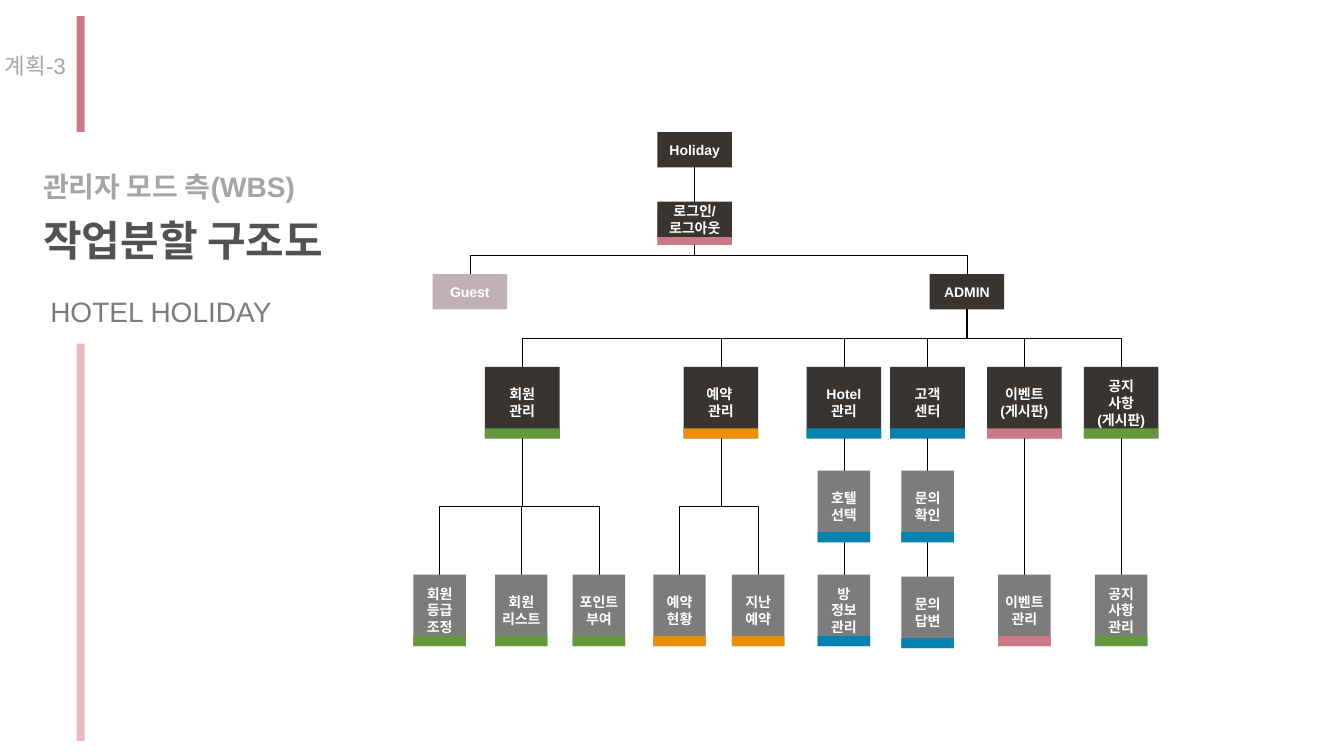
from pptx import Presentation
from pptx.dml.color import RGBColor
from pptx.enum.shapes import MSO_CONNECTOR as LINK, MSO_SHAPE as FORM
from pptx.enum.text import MSO_ANCHOR as ANCHOR, MSO_AUTO_SIZE as FIT, PP_ALIGN as ALIGN
from pptx.oxml import parse_xml
from pptx.oxml.ns import nsdecls
from pptx.util import Pt

PX = 9144
BOTTOM, TOP = 2, 0
DARK, GRAY, MUTED = "383431", "7C7C7C", "C0B0B8"
ROSE, PALE_ROSE = "CA7A85", "E9B8BC"
GREEN, ORANGE, BLUE = "62983E", "ED8F05", "0483B0"
WIDE, NARROW = 74, 52
SHORT, TALL, STRIP = 35, 71, 10
BRANCH_TOP, STEP_TOP, LEAF_TOP = 364, 467, 570

BRANCHES = [
    (518, ["회원", "관리"], GREEN, [
        [(436, LEAF_TOP, ["회원", "등급", "조정"])],
        [(517, LEAF_TOP, ["회원", "리스트"])],
        [(594, LEAF_TOP, ["포인트", "부여"])]]),
    (715, ["예약 ", "관리"], ORANGE, [
        [(674, LEAF_TOP, ["예약", "현황"])],
        [(752, LEAF_TOP, ["지난", "예약"])]]),
    (837, ["Hotel", "관리"], BLUE, [
        [(837, STEP_TOP, ["호텔", "선택"]),
         (837, LEAF_TOP, ["방", "정보", "관리"])]]),
    (920, ["고객", "센터"], BLUE, [
        [(920, STEP_TOP, ["문의", "확인"]),
         (920, LEAF_TOP + 2, ["문의", "답변"])]]),
    (1016, ["이벤트", "(게시판)"], ROSE, [
        [(1016, LEAF_TOP, ["이벤트", "관리"])]]),
    (1112, ["공지", "사항", "(게시판)"], GREEN, [
        [(1112, LEAF_TOP, ["공지", "사항", "관리"])]]),
]


def color(hex_code):
    return RGBColor.from_string(hex_code)


def write(paragraph, text, size, hex_code, bold):
    run = paragraph.add_run()
    run.text = text
    run.font.name = "Arial"
    run.font.size = Pt(size)
    run.font.bold = bold
    run.font.color.rgb = color(hex_code)


def add_bar(slide, left, top, width, height, fill):
    bar = slide.shapes.add_shape(
        FORM.RECTANGLE, left * PX, top * PX, width * PX, height * PX)
    bar.shadow.inherit = False
    bar.fill.solid()
    bar.fill.fore_color.rgb = color(fill)
    bar.line.fill.background()
    return bar


def add_task(slide, center, top, width, height, lines, fill, strip=None):
    left = center - width // 2
    task = add_bar(slide, left, top, width, height, fill)
    frame = task.text_frame
    frame.word_wrap = True
    frame.vertical_anchor = ANCHOR.MIDDLE
    frame.margin_left = frame.margin_right = 0
    frame.margin_top = frame.margin_bottom = 0
    for index, line in enumerate(lines):
        paragraph = frame.add_paragraph() if index else frame.paragraphs[0]
        paragraph.alignment = ALIGN.CENTER
        write(paragraph, line, 10, "FFFFFF", True)
    if strip:
        add_bar(slide, left, top + height - STRIP, width, STRIP, strip)
    return task


def add_label(slide, left, top, width, height, text, size, hex_code,
              bold=False, wrap=True):
    label = slide.shapes.add_textbox(left * PX, top * PX, width * PX, height * PX)
    frame = label.text_frame
    frame.word_wrap = wrap
    frame.auto_size = FIT.SHAPE_TO_FIT_TEXT
    write(frame.paragraphs[0], text, size, hex_code, bold)


def turn_downward(link):
    xfrm = link._element.spPr.xfrm
    run, drop = link.width, link.height
    middle_x, middle_y = link.left + run // 2, link.top + drop // 2
    leads_right = link.end_x > link.begin_x
    link.left, link.top = middle_x - drop // 2, middle_y - run // 2
    link.width, link.height = drop, run
    xfrm.flipH = leads_right
    xfrm.rot = 270 if leads_right else 90


def join(slide, parent, child):
    aligned = parent.left + parent.width // 2 == child.left + child.width // 2
    kind = LINK.STRAIGHT if aligned else LINK.ELBOW
    link = slide.shapes.add_connector(kind, 0, 0, 0, 0)
    link.begin_connect(parent, BOTTOM)
    link.end_connect(child, TOP)
    if not aligned:
        turn_downward(link)
    link.line.color.rgb = color("000000")
    link.line.width = Pt(0.5)
    link._element.spPr.append(parse_xml(f"<a:effectLst {nsdecls('a')}/>"))
    slide.shapes._spTree.insert(2, link._element)


def add_branch(slide, admin, center, lines, accent, chains):
    branch = add_task(slide, center, BRANCH_TOP, WIDE, TALL, lines, DARK, accent)
    join(slide, admin, branch)
    for chain in chains:
        parent = branch
        for step_center, top, step_lines in chain:
            step = add_task(slide, step_center, top, NARROW, TALL,
                            step_lines, GRAY, accent)
            join(slide, parent, step)
            parent = step


def main():
    deck = Presentation()
    deck.slide_width, deck.slide_height = 1333 * PX, 750 * PX
    slide = deck.slides.add_slide(deck.slide_layouts[6])

    add_bar(slide, 76, 16, 8, 115, ROSE)
    add_bar(slide, 76, 341, 8, 394, PALE_ROSE)
    add_label(slide, -5, 47, 89, 37, "계획-3", 16, "A6A6A6")
    add_label(slide, 33, 163, 343, 44, "관리자 모드 측(WBS)", 20, "A5A5A5", bold=True)
    add_label(slide, 33, 208, 329, 61, "작업분할 구조도", 30, "525252",
              bold=True, wrap=False)
    add_label(slide, 40, 287, 242, 44, "HOTEL HOLIDAY", 20, GRAY, wrap=False)

    add_bar(slide, 689 - WIDE // 2, 208, WIDE, SHORT, ROSE)
    holiday = add_task(slide, 689, 131, WIDE, SHORT, ["Holiday"], DARK)
    login = add_task(slide, 689, 200, WIDE, SHORT, ["로그인/", "로그아웃"], DARK)
    guest = add_task(slide, 466, 272, WIDE, SHORT, ["Guest"], MUTED)
    admin = add_task(slide, 959, 272, WIDE, SHORT, ["ADMIN"], DARK)
    join(slide, holiday, login)
    join(slide, login, guest)
    join(slide, login, admin)

    for branch in BRANCHES:
        add_branch(slide, admin, *branch)

    deck.save("out.pptx")


if __name__ == "__main__":
    main()
